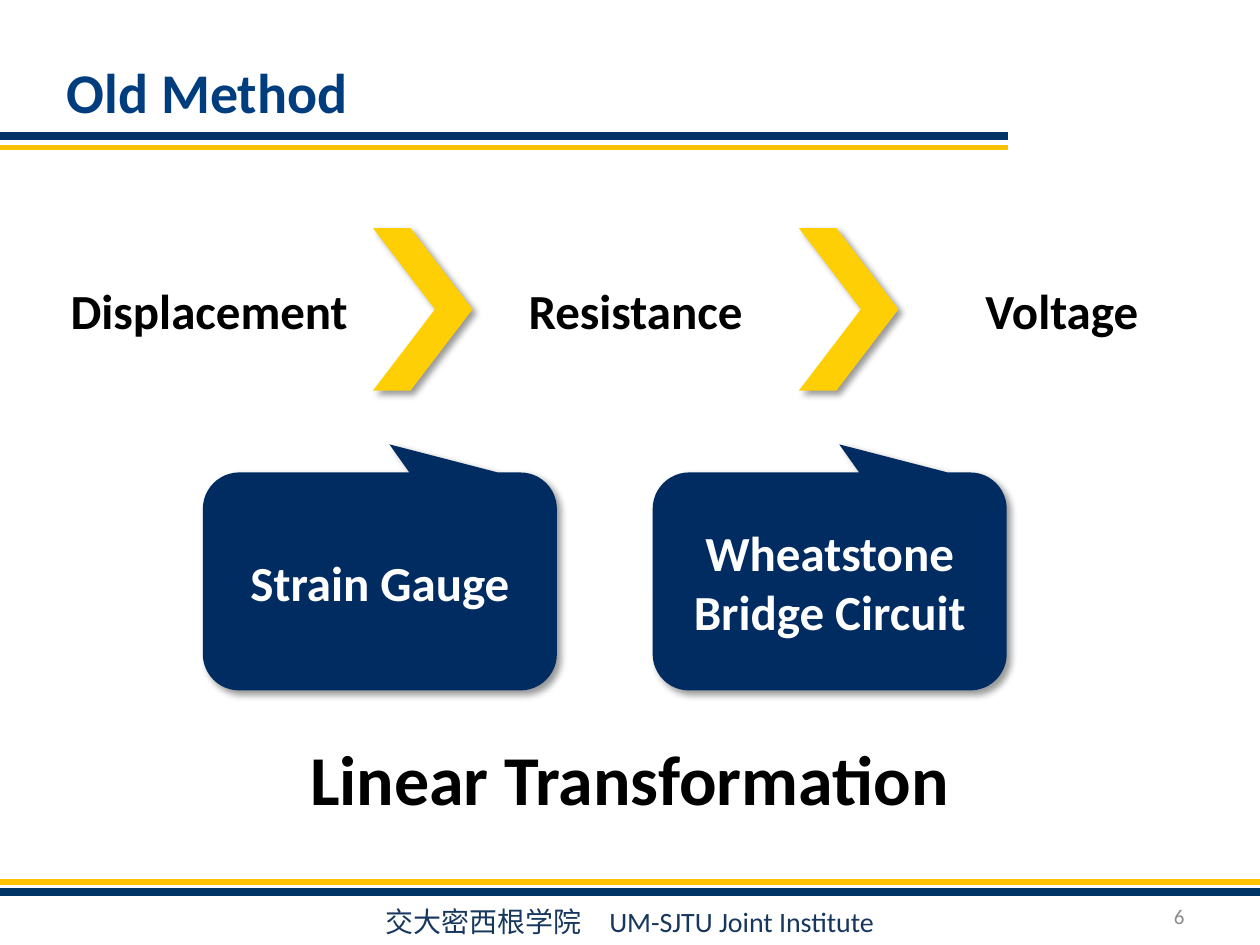
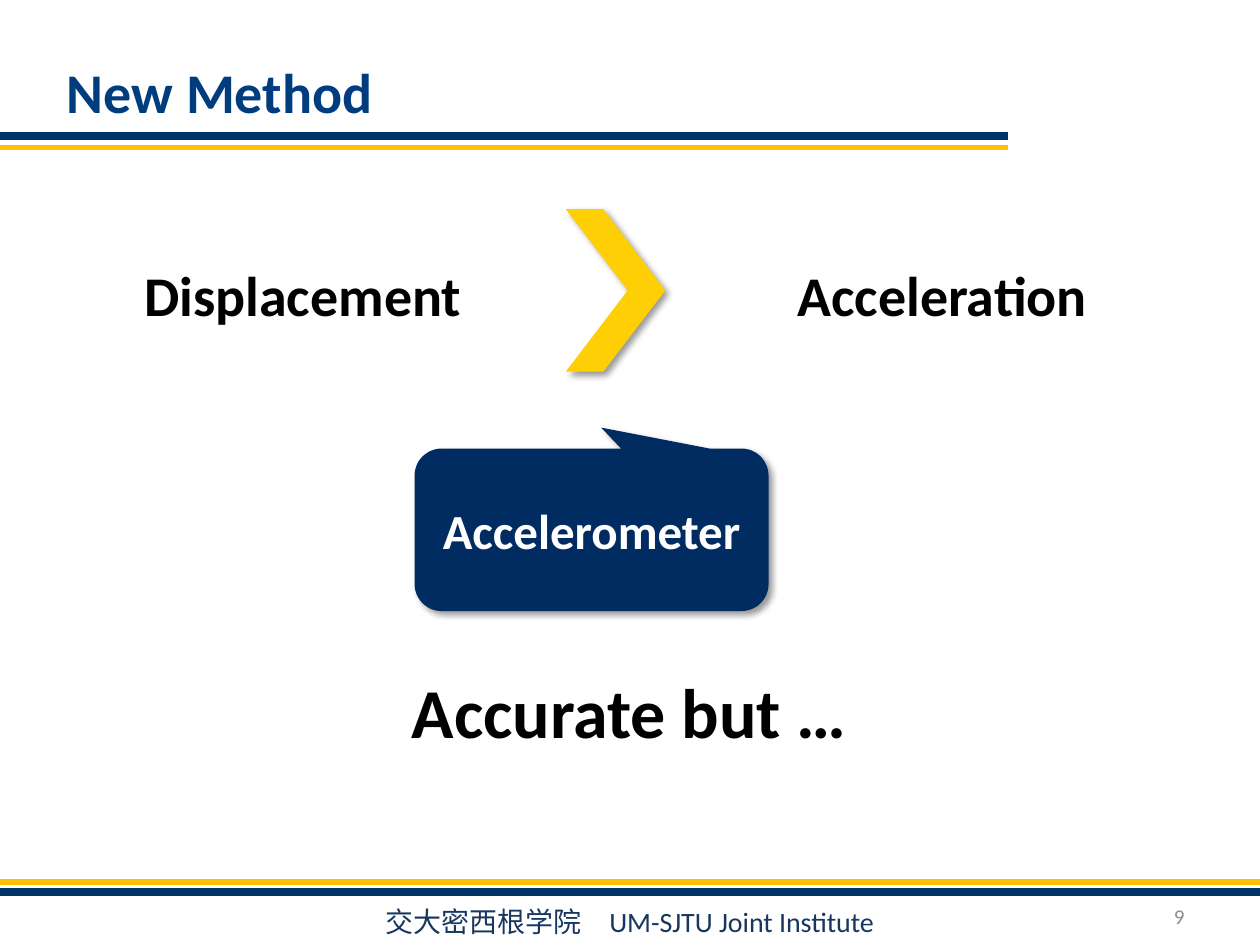
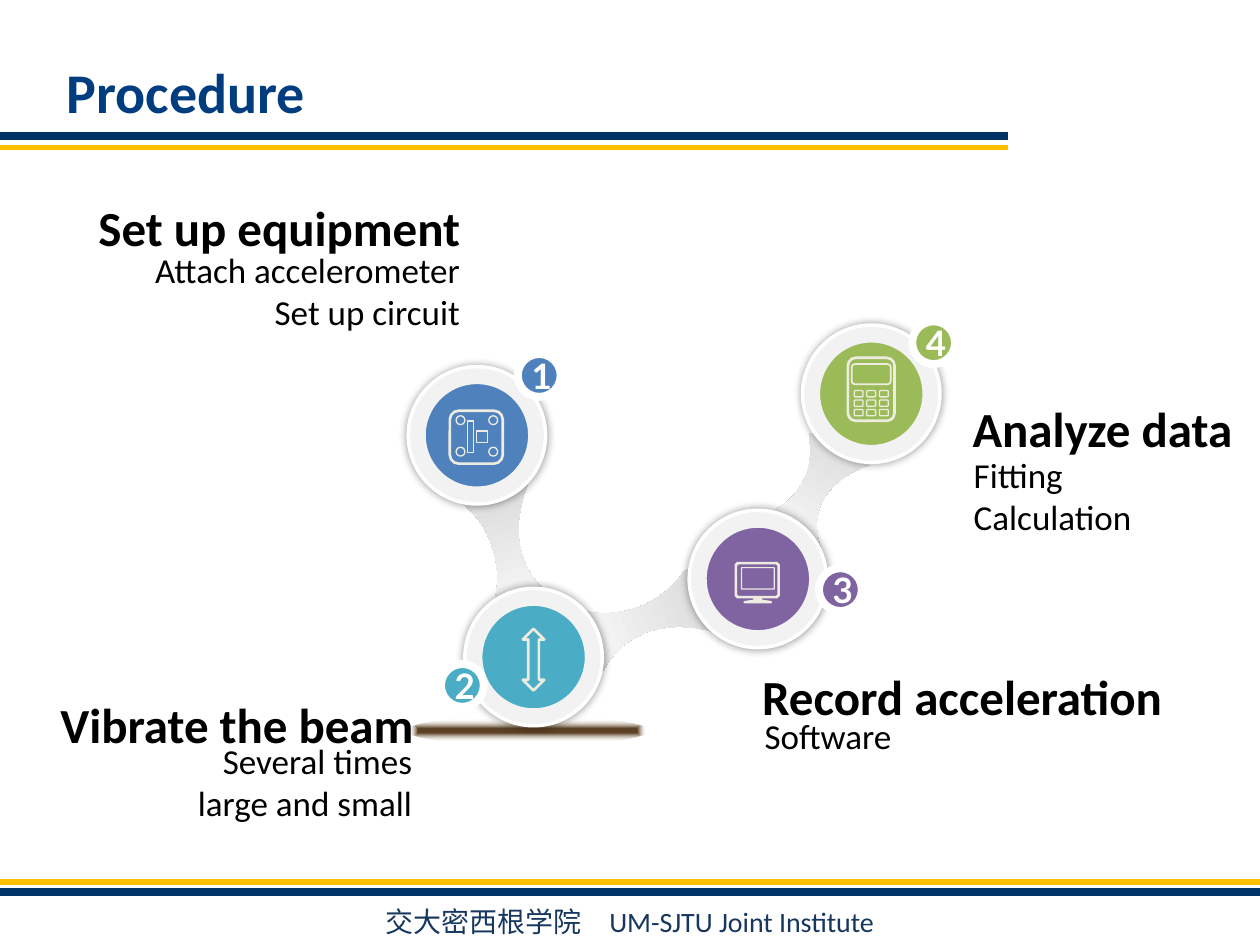
import math
from dataclasses import dataclass
from typing import NamedTuple

import pptx
import pptx.dml.color
import pptx.enum.shapes
import pptx.enum.text
import pptx.oxml
import pptx.oxml.ns
import pptx.util

Pt = pptx.util.Pt
Shape = pptx.enum.shapes.MSO_SHAPE
Align = pptx.enum.text.PP_ALIGN
Anchor = pptx.enum.text.MSO_ANCHOR
AutoSize = pptx.enum.text.MSO_AUTO_SIZE

COLORS = {
    "title": "003D7F", "navy": "003366", "gold": "FFC000", "footer": "17375E",
    "number": "8C8C8C", "chevron": "FFCF05", "callout": "002C62",
    "black": "000000", "white": "FFFFFF", "ring": "F2F2F2", "icon": "EEECE1",
    "blue": "4F81BD", "teal": "4BACC6", "purple": "8064A2", "green": "9BBB59",
    "beam": "5D4225", "link start": "808080", "link edge": "B7B7B7",
    "link light": "F2F2F2", "link end": "D9D9D9",
}
FOOTER = "交大密西根学院　UM-SJTU Joint Institute"
LINK_STOPS = [(0, "link start", 100), (3, "link edge", 100),
              (24, "link light", 100), (100, "link end", 100)]
BEAM_STOPS = [(16, "beam", 100), (78, "icon", 0)]
CIRCLE_TURN = 12.7


# Elements described in points
class Box(NamedTuple):
    left: float
    top: float
    width: float
    height: float

    def lengths(self) -> tuple:
        return tuple(Pt(value) for value in self)


class Rule(NamedTuple):
    top: float
    length: float
    color: str
    weight: float


class Shadow(NamedTuple):
    blur: float
    distance: float
    angle: float


@dataclass
class Label:
    text: str
    box: Box
    size: float
    bold: bool = True
    align: Align = Align.CENTER
    wrap: bool = True


@dataclass
class Step:
    number: int
    color: str
    ring: tuple[float, float]
    badge: tuple[float, float]


@dataclass
class Link:
    box: Box
    rotation: float


RULES = [Rule(84.24, 576, "gold", 3), Rule(504, 720, "gold", 3),
         Rule(509.76, 720, "navy", 4.5), Rule(77.76, 576, "navy", 4.5)]
DROP_SHADOW = Shadow(4, 3, 45)
GLOW_SHADOW = Shadow(5, 0, 0)


# Shared drawing functions
def rgb(name: str) -> pptx.dml.color.RGBColor:
    return pptx.dml.color.RGBColor.from_string(COLORS[name])


def make_xml(tag: str, attributes: str = "", inner: str = ""):
    space = pptx.oxml.ns.nsdecls("a")
    return pptx.oxml.parse_xml(f"<a:{tag} {space} {attributes}>{inner}</a:{tag}>")


def write_text(frame, text: str, *, size: float, color: str = "black",
               bold: bool = False, font: str = "Calibri",
               align: Align = Align.LEFT, anchor: Anchor = Anchor.TOP,
               wrap: bool = True, spacing: float | None = None) -> None:
    frame.word_wrap = wrap
    frame.vertical_anchor = anchor
    for index, line in enumerate(text.split("\n")):
        para = frame.add_paragraph() if index else frame.paragraphs[0]
        para.alignment = align
        para.line_spacing = spacing
        span = para.add_run()
        span.text = line
        span.font.name = font
        span.font.size = Pt(size)
        span.font.bold = bold
        span.font.color.rgb = rgb(color)


def add_text(page, text: str, box: Box, grow: bool = True, **style) -> None:
    frame = page.shapes.add_textbox(*box.lengths()).text_frame
    write_text(frame, text, **style)
    frame.auto_size = AutoSize.SHAPE_TO_FIT_TEXT if grow else AutoSize.NONE


def add_label(page, label: Label) -> None:
    add_text(page, label.text, label.box, size=label.size, bold=label.bold,
             align=label.align, wrap=label.wrap)


def paint(shape, fill: str | None = None, line: str | None = None,
          weight: float = 1, shadow: Shadow | None = None) -> None:
    if fill:
        shape.fill.solid()
        shape.fill.fore_color.rgb = rgb(fill)
    else:
        shape.fill.background()
    if line:
        shape.line.color.rgb = rgb(line)
        shape.line.width = Pt(weight)
    else:
        shape.line.fill.background()
    shape.shadow.inherit = False
    if shadow:
        effects = shape._element.spPr.find(pptx.oxml.ns.qn("a:effectLst"))
        effects.append(make_xml(
            "outerShdw",
            f'blurRad="{Pt(shadow.blur)}" dist="{Pt(shadow.distance)}" '
            f'dir="{shadow.angle * 60000}" algn="ctr" rotWithShape="0"',
            '<a:srgbClr val="000000"><a:alpha val="40000"/></a:srgbClr>'))


def paint_gradient(shape, stops: list, direction: str) -> None:
    paint(shape)
    inner = "".join(
        f'<a:gs pos="{place * 1000}"><a:srgbClr val="{COLORS[color]}">'
        f'<a:alpha val="{alpha * 1000}"/></a:srgbClr></a:gs>'
        for place, color, alpha in stops)
    gradient = make_xml("gradFill", 'rotWithShape="1"',
                        f"<a:gsLst>{inner}</a:gsLst>{direction}")
    properties = shape._element.spPr
    properties.replace(properties.find(pptx.oxml.ns.qn("a:noFill")), gradient)


def add_figure(page, kind: Shape, box: Box, adjust: tuple = (), **style):
    shape = page.shapes.add_shape(kind, *box.lengths())
    for index, value in enumerate(adjust):
        shape.adjustments[index] = value
    paint(shape, **style)
    return shape


def add_outline(page, contours: list):
    """Build one closed freeform from lists of points."""
    scaled = [[(Pt(x), Pt(y)) for x, y in contour] for contour in contours]
    builder = page.shapes.build_freeform(*scaled[0][0], scale=1.0)
    for index, contour in enumerate(scaled):
        if index:
            builder.move_to(*contour[0])
        builder.add_line_segments(contour[1:], close=True)
    return builder.convert_to_shape()


def add_page(deck, title: str, number: str = ""):
    page = deck.slides.add_slide(deck.slide_layouts[5])
    for rule in RULES:
        line = page.shapes.add_connector(
            pptx.enum.shapes.MSO_CONNECTOR.STRAIGHT,
            Pt(0), Pt(rule.top), Pt(rule.length), Pt(rule.top))
        line.line.color.rgb = rgb(rule.color)
        line.line.width = Pt(rule.weight)
        line._element.spPr.append(make_xml("effectLst"))
    add_text(page, FOOTER, Box(36.72, 513.36, 646.56, 26.64), size=16,
             color="footer", align=Align.CENTER)
    heading = page.shapes.title
    heading.left, heading.top, heading.width, heading.height = Box(
        30.96, 26.64, 566.64, 50.4).lengths()
    write_text(heading.text_frame, title, size=32, color="title", bold=True,
               anchor=Anchor.MIDDLE)
    if number:
        add_text(page, number, Box(516.24, 509.04, 167.76, 28.8), grow=False,
                 size=12, color="number", align=Align.RIGHT,
                 anchor=Anchor.MIDDLE)
    return page


# Method slides
def add_chevron(page, left: float, top: float) -> None:
    add_figure(page, Shape.CHEVRON, Box(left, top, 56.88, 92.88), (0.623,),
               fill="chevron", shadow=DROP_SHADOW)


def add_callout(page, text: str, box: Box) -> None:
    callout = add_figure(page, Shape.ROUNDED_RECTANGULAR_CALLOUT, box,
                         (0.027, -0.629, 0.167), fill="callout",
                         shadow=DROP_SHADOW)
    write_text(callout.text_frame, text, size=28, color="white", bold=True,
               align=Align.CENTER, anchor=Anchor.MIDDLE)


def build_old_method(deck) -> None:
    page = add_page(deck, "Old Method", "6")
    for left in (213.12, 456.48):
        add_chevron(page, left, 130.32)
    for index, text in enumerate(("Displacement", "Resistance", "Voltage")):
        add_label(page, Label(text, Box(28.8 + 243.6 * index, 156.96, 181.44, 41.04), 28))
    for index, text in enumerate(("Strain Gauge", "Wheatstone Bridge Circuit")):
        add_callout(page, text, Box(115.92 + 257.04 * index, 270, 202.32, 124.56))
    add_label(page, Label("Linear Transformation", Box(113.04, 416.88, 493.2, 55.44), 40))


def build_new_method(deck) -> None:
    page = add_page(deck, "New Method", "9")
    add_chevron(page, 323.28, 119.52)
    add_callout(page, "Accelerometer", Box(236.88, 256.32, 202.32, 92.88))
    for label in (
        Label("Displacement", Box(59.76, 145.44, 226.8, 46.08), 32),
        Label("Acceleration", Box(439.2, 145.44, 198.72, 46.08), 32),
        Label("Accurate but …", Box(113.04, 378.72, 493.2, 55.44), 40),
    ):
        add_label(page, label)


# Procedure slide
STEPS = [
    Step(1, "blue", (233.28, 209.52), (295.92, 202.32)),
    Step(2, "teal", (265.68, 336.24), (252, 379.44)),
    Step(3, "purple", (393.84, 291.6), (468, 324.72)),
    Step(4, "green", (458.64, 185.76), (521.28, 183.6)),
]
LINKS = [
    Link(Box(439.92, 261.36, 54, 38.16), 298.6),
    Link(Box(336.24, 336.24, 66.24, 38.16), 338.3),
    Link(Box(258.48, 294.48, 66.24, 38.16), 255.3),
]
STEP_LABELS = [
    Label("Analyze data", Box(548.64, 223.92, 164.88, 41.04), 28,
          align=Align.LEFT, wrap=False),
    Label("Fitting\nCalculation", Box(549.36, 255.6, 203.76, 55.44), 20,
          False, Align.LEFT),
    Label("Record acceleration", Box(428.4, 377.28, 246.24, 41.04), 28,
          align=Align.LEFT, wrap=False),
    Label("Software", Box(429.84, 404.64, 203.76, 31.68), 20, False, Align.LEFT),
    Label("Vibrate the beam", Box(24.48, 393.12, 218.88, 41.04), 28,
          align=Align.RIGHT, wrap=False),
    Label("Several times\nlarge and small", Box(43.92, 419.04, 198.72, 55.44),
          20, False, Align.RIGHT),
    Label("Set up equipment", Box(-20.16, 109.44, 290.16, 41.04), 28,
          align=Align.RIGHT, wrap=False),
    Label("Attach accelerometer\nSet up circuit",
          Box(57.6, 138.24, 212.4, 79.92), 20, False, Align.RIGHT),
]


def curve(start: tuple, first: tuple, second: tuple, end: tuple) -> list:
    """Sample a cubic curve, leaving out its start."""
    points = []
    for index in range(1, 13):
        t = index / 12
        weights = [math.comb(3, k) * t**k * (1 - t)**(3 - k) for k in range(4)]
        points.append(tuple(
            sum(weight * point[axis] for weight, point
                in zip(weights, (start, first, second, end)))
            for axis in (0, 1)))
    return points


def add_link(page, link: Link) -> None:
    unit = [(0.5, -0.5), (0.5, 0.5)]
    unit += curve((0.5, 0.5), (0.16, 0.06), (-0.22, 0.02), (-0.5, 0.44))
    unit += [(-0.5, -0.5), (-0.47, -0.5)]
    unit += curve((-0.47, -0.5), (-0.33, -0.34), (-0.18, -0.25), (0, -0.25))
    unit += curve((0, -0.25), (0.18, -0.25), (0.33, -0.34), (0.47, -0.5))
    box = link.box
    shape = add_outline(page, [[(box.left + (x + 0.5) * box.width,
                                 box.top + (y + 0.5) * box.height)
                                for x, y in unit]])
    shape.rotation = link.rotation
    paint_gradient(shape, LINK_STOPS, '<a:lin ang="0" scaled="0"/>')


def add_step(page, step: Step) -> None:
    left, top = step.ring
    ring = add_figure(page, Shape.OVAL, Box(left, top, 78.48, 78.48),
                      fill="ring", line="white", weight=2, shadow=GLOW_SHADOW)
    disc = add_figure(page, Shape.OVAL, Box(left + 9, top + 9, 60.48, 60.48),
                      fill=step.color, line="ring", weight=2)
    ring.rotation = disc.rotation = CIRCLE_TURN
    left, top = step.badge
    add_figure(page, Shape.OVAL, Box(left, top, 24.48, 24.48),
               fill=step.color, line="white", weight=4.5)
    add_text(page, str(step.number), Box(left + 0.72, top + 1.5, 23.04, 26.64),
             size=20, color="white", bold=True, font="Lato",
             align=Align.CENTER, spacing=0.8)


def add_icon_part(page, kind: Shape, box: Box, weight: float = 0.75) -> None:
    add_figure(page, kind, box, line="icon", weight=weight)


def add_circuit_icon(page) -> None:
    add_icon_part(page, Shape.ROUNDED_RECTANGLE, Box(257.04, 234.72, 30.24, 30.24), 1.5)
    for left in (260.64, 279.36):
        for top in (237.6, 255.6):
            add_icon_part(page, Shape.OVAL, Box(left, top, 5.04, 5.04))
    add_icon_part(page, Shape.RECTANGLE, Box(272.16, 246.24, 6.48, 6.48))
    add_icon_part(page, Shape.RECTANGLE, Box(267.12, 240.48, 3.6, 18))


def add_calculator_icon(page) -> None:
    add_icon_part(page, Shape.ROUNDED_RECTANGLE, Box(484.56, 204.48, 26.64, 36), 1.5)
    add_icon_part(page, Shape.ROUNDED_RECTANGLE, Box(486.72, 208.08, 22.32, 11.52), 1)
    for row in range(3):
        for column in range(3):
            add_icon_part(page, Shape.ROUNDED_RECTANGLE,
                          Box(488.16 + 7.2 * column, 223.2 + 5.4 * row, 5.04, 3.6))


def cut_corners(left: float, top: float, right: float, bottom: float,
                cut: float) -> list:
    return [(left, bottom - cut), (left, top + cut), (left + cut, top),
            (right - cut, top), (right, top + cut), (right, bottom - cut),
            (right - cut, bottom), (left + cut, bottom)]


def add_monitor_icon(page) -> None:
    stand = [(435.6, 342), (435.6, 342.72), (440.64, 343.44), (441.36, 344.16),
             (440.64, 344.88), (425.52, 344.88), (424.8, 344.16),
             (425.52, 343.44), (430.56, 342.72), (430.56, 342)]
    case = cut_corners(419.76, 321.12, 445.68, 342, 1.5)
    screens = [
        [cut_corners(423.36, 324, 442.8, 336.96, 0.4),
         cut_corners(424.08, 324.72, 442.08, 336.24, 0)],
        [case[:7] + stand + case[7:],
         cut_corners(421.2, 322.56, 444.24, 340.56, 0.8)],
    ]
    for contours in screens:
        paint(add_outline(page, contours), fill="icon")


def build_procedure(deck) -> None:
    page = add_page(deck, "Procedure")
    beam = add_figure(page, Shape.OVAL, Box(232.56, 409.68, 138.24, 15.84))
    beam.rotation = 180
    paint_gradient(beam, BEAM_STOPS,
                   '<a:path path="shape"><a:fillToRect l="50000" t="50000" '
                   'r="50000" b="50000"/></a:path>')
    for link in LINKS:
        add_link(page, link)
    for step in STEPS:
        add_step(page, step)
    for label in STEP_LABELS:
        add_label(page, label)
    add_circuit_icon(page)
    add_icon_part(page, Shape.UP_DOWN_ARROW, Box(298.8, 359.28, 12.24, 35.28), 1.5)
    add_monitor_icon(page)
    add_calculator_icon(page)


def main() -> None:
    deck = pptx.Presentation()
    deck.slide_width, deck.slide_height = Pt(720), Pt(540)
    build_old_method(deck)
    build_new_method(deck)
    build_procedure(deck)
    deck.save("out.pptx")


if __name__ == "__main__":
    main()
